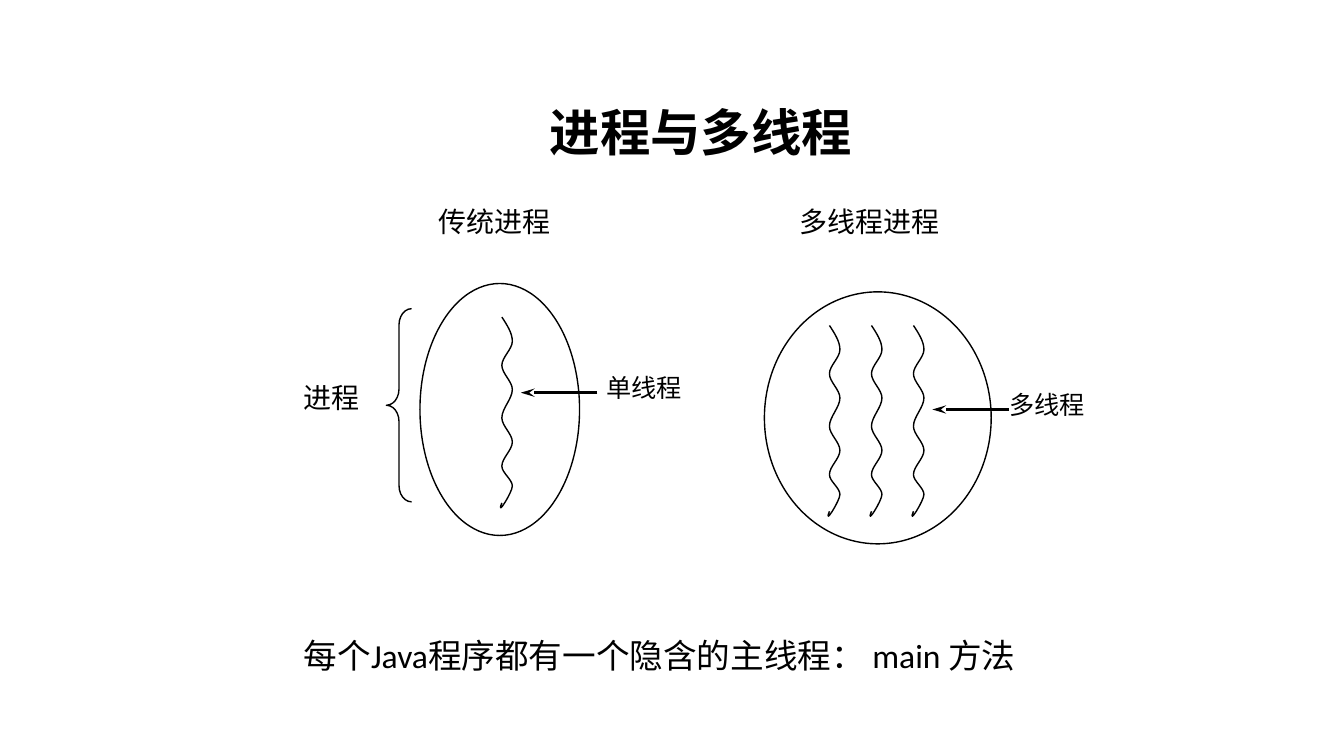
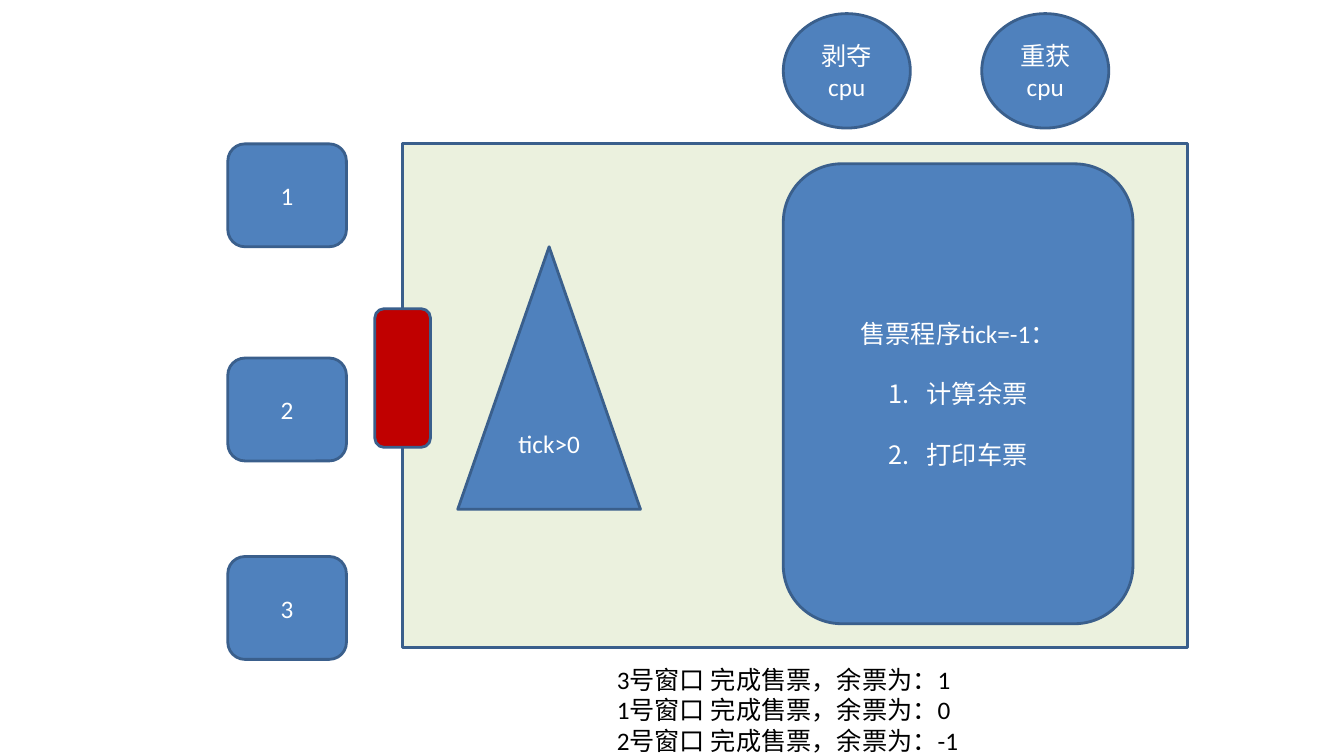
from lxml.etree import SubElement
from pptx import Presentation
from pptx.dml.color import RGBColor
from pptx.enum.shapes import MSO_CONNECTOR, MSO_SHAPE
from pptx.enum.text import MSO_ANCHOR, MSO_AUTO_SIZE, PP_ALIGN
from pptx.oxml.ns import qn
from pptx.util import Pt

PX = 9525
SLIDE_SIZE = (1280, 720)

THEME = {
    "font": "Calibri",
    "ink": "000000",
    "light": "FFFFFF",
    "blue": "4F81BD",
    "edge": "3A5F8C",
    "room": "EBF1DE",
    "lock": "C00000",
    "thin": 1,
    "thick": 2,
    "title": {"size": Pt(36), "bold": True},
    "statement": {"size": Pt(24)},
    "heading": {"size": Pt(20)},
    "body": {"size": Pt(18)},
    "step_gap": Pt(21.5),
    "step_indent": 36,
    "arrowhead": {"type": "stealth", "w": "med", "len": "lg"},
}
PLAIN = {"word_wrap": True, "auto_size": MSO_AUTO_SIZE.SHAPE_TO_FIT_TEXT}
CENTERED = {"word_wrap": True, "vertical_anchor": MSO_ANCHOR.MIDDLE}

TITLE = ("进程与多线程", (359, 81, 617, 89))
PROCESS_LABELS = [
    ("进程", (280, 358, 104, 42), "heading"),
    ("传统进程", (408, 190, 216, 42), "heading"),
    ("多线程进程", (752, 190, 224, 42), "heading"),
    ("单线程", (568, 350, 128, 38), "body"),
    ("多线程", (952, 366, 128, 38), "body"),
    ("每个Java程序都有一个隐含的主线程： main 方法", (280, 600, 712, 48), "statement"),
]
PROCESSES = [(400, 270, 152, 240), (728, 278, 216, 240)]
BRACE = (368, 294, 24, 184)
BRACE_CURVE = 0.64
THREAD_STARTS = [(478, 302), (790, 310), (830, 310), (870, 310)]
THREAD_BENDS = [0, 23, 46, 69, 96, 119, 142, 161]
THREAD_SWING = 10
THREAD_HOOK = [(10, 167), (-6, 192), (0, 177)]
THREAD_ARROWS = [((569, 374), (496, 374)), ((961, 390), (888, 390))]

ROOM = (383, 137, 748, 480)
WINDOWS = [("1", 137), ("2", 341), ("3", 530)]
WINDOW_LEFT, WINDOW_SIZE = 217, (113, 98)
PROGRAM = (["售票程序tick=-1："], ["计算余票", "打印车票"], (746, 156, 333, 438))
CHECK = ("tick>0", (436, 235, 174, 250))
CPU_STATES = [(["剥夺", "cpu"], 746), (["重获cpu"], 935)]
CPU_TOP, CPU_SIZE = 13, (121, 109)
RESULTS = ([("3", "1"), ("1", "0"), ("2", "-1")], (578, 628, 457, 97))
LOCK = (357, 294, 53, 132)


def emu(values):
    return [round(value * PX) for value in values]


def set_all(target, values):
    for key, value in values.items():
        setattr(target, key, value)


def write(frame, lines, role="body", color="ink", align=PP_ALIGN.LEFT, layout=PLAIN, steps=()):
    set_all(frame, layout)
    for index, text in enumerate([*lines, *steps]):
        paragraph = frame.paragraphs[0] if index == 0 else frame.add_paragraph()
        paragraph.alignment = align
        run = paragraph.add_run()
        run.text = text
        set_all(run.font, {"name": THEME["font"], **THEME[role]})
        run.font.color.rgb = RGBColor.from_string(THEME[color])
        if index >= len(lines):
            paragraph.space_before = THEME["step_gap"]
            number_step(paragraph)


def number_step(paragraph):
    properties = paragraph._p.get_or_add_pPr()
    indent = THEME["step_indent"] * PX
    properties.set("marL", str(indent))
    properties.set("indent", str(-indent))
    SubElement(properties, qn("a:buFont"), typeface="+mj-lt")
    SubElement(properties, qn("a:buAutoNum"), type="arabicPeriod")


def add_text(slide, lines, box, **style):
    write(slide.shapes.add_textbox(*emu(box)).text_frame, lines, **style)


def paint(shape, fill, line, width):
    shape.shadow.inherit = False
    if fill:
        shape.fill.solid()
        shape.fill.fore_color.rgb = RGBColor.from_string(THEME[fill])
    else:
        shape.fill.background()
    shape.line.color.rgb = RGBColor.from_string(THEME[line])
    shape.line.width = Pt(THEME[width])


def add_outline(slide, kind, box):
    shape = slide.shapes.add_shape(kind, *emu(box))
    paint(shape, None, "ink", "thin")
    return shape


def add_block(slide, kind, box, lines=(), fill="blue", steps=()):
    shape = slide.shapes.add_shape(kind, *emu(box))
    paint(shape, fill, "edge", "thick")
    write(shape.text_frame, lines, color="light", align=PP_ALIGN.CENTER,
          layout=CENTERED, steps=steps)


def thread_points():
    bends = [(THREAD_SWING * (i % 2), y) for i, y in enumerate(THREAD_BENDS)]
    points = [bends[0]]
    for i, ((x, y), (end_x, end_y)) in enumerate(zip(bends, bends[1:])):
        third = (end_y - y) / 3
        first_x = x if i else THREAD_SWING / 2
        points += [(first_x, y + third), (end_x, end_y - third), (end_x, end_y)]
    return points + THREAD_HOOK


def curve_segments(shape):
    segments = list(shape._element.iter(qn("a:lnTo")))
    for start in range(0, len(segments), 3):
        curve = SubElement(segments[start].getparent(), qn("a:cubicBezTo"))
        for segment in segments[start:start + 3]:
            curve.append(segment[0])
            segment.getparent().remove(segment)


def add_thread(slide, left, top):
    points = [emu((left + x, top + y)) for x, y in thread_points()]
    builder = slide.shapes.build_freeform(*points[0], scale=1.0)
    builder.add_line_segments(points[1:], close=False)
    thread = builder.convert_to_shape()
    curve_segments(thread)
    paint(thread, None, "ink", "thin")


def add_arrow(slide, start, end):
    arrow = slide.shapes.add_connector(MSO_CONNECTOR.STRAIGHT, *emu(start + end))
    arrow.line.color.rgb = RGBColor.from_string(THEME["ink"])
    arrow.line.width = Pt(THEME["thick"])
    SubElement(arrow.line._get_or_add_ln(), qn("a:tailEnd"), THEME["arrowhead"])
    SubElement(arrow._element.spPr, qn("a:effectLst"))


def build_processes(slide):
    title, title_box = TITLE
    add_text(slide, [title], title_box, role="title", align=PP_ALIGN.CENTER, layout=CENTERED)
    for box in PROCESSES:
        add_outline(slide, MSO_SHAPE.OVAL, box)
    add_outline(slide, MSO_SHAPE.LEFT_BRACE, BRACE).adjustments[0] = BRACE_CURVE
    for start in THREAD_STARTS:
        add_thread(slide, *start)
    for start, end in THREAD_ARROWS:
        add_arrow(slide, start, end)
    for label, box, role in PROCESS_LABELS:
        add_text(slide, [label], box, role=role)


def build_tickets(slide):
    add_block(slide, MSO_SHAPE.RECTANGLE, ROOM, fill="room")
    for number, top in WINDOWS:
        add_block(slide, MSO_SHAPE.ROUNDED_RECTANGLE, (WINDOW_LEFT, top, *WINDOW_SIZE), [number])
    heading, steps, program_box = PROGRAM
    add_block(slide, MSO_SHAPE.ROUNDED_RECTANGLE, program_box, heading, steps=steps)
    condition, check_box = CHECK
    add_block(slide, MSO_SHAPE.ISOSCELES_TRIANGLE, check_box, [condition])
    for state, left in CPU_STATES:
        add_block(slide, MSO_SHAPE.OVAL, (left, CPU_TOP, *CPU_SIZE), state)
    sales, results_box = RESULTS
    add_text(slide, [f"{window}号窗口 完成售票，余票为：{rest}" for window, rest in sales], results_box)
    add_block(slide, MSO_SHAPE.ROUNDED_RECTANGLE, LOCK, fill="lock")


def main():
    deck = Presentation()
    deck.slide_width, deck.slide_height = emu(SLIDE_SIZE)
    blank = deck.slide_layouts[6]
    for build in (build_processes, build_tickets):
        build(deck.slides.add_slide(blank))
    deck.save("out.pptx")


if __name__ == "__main__":
    main()
